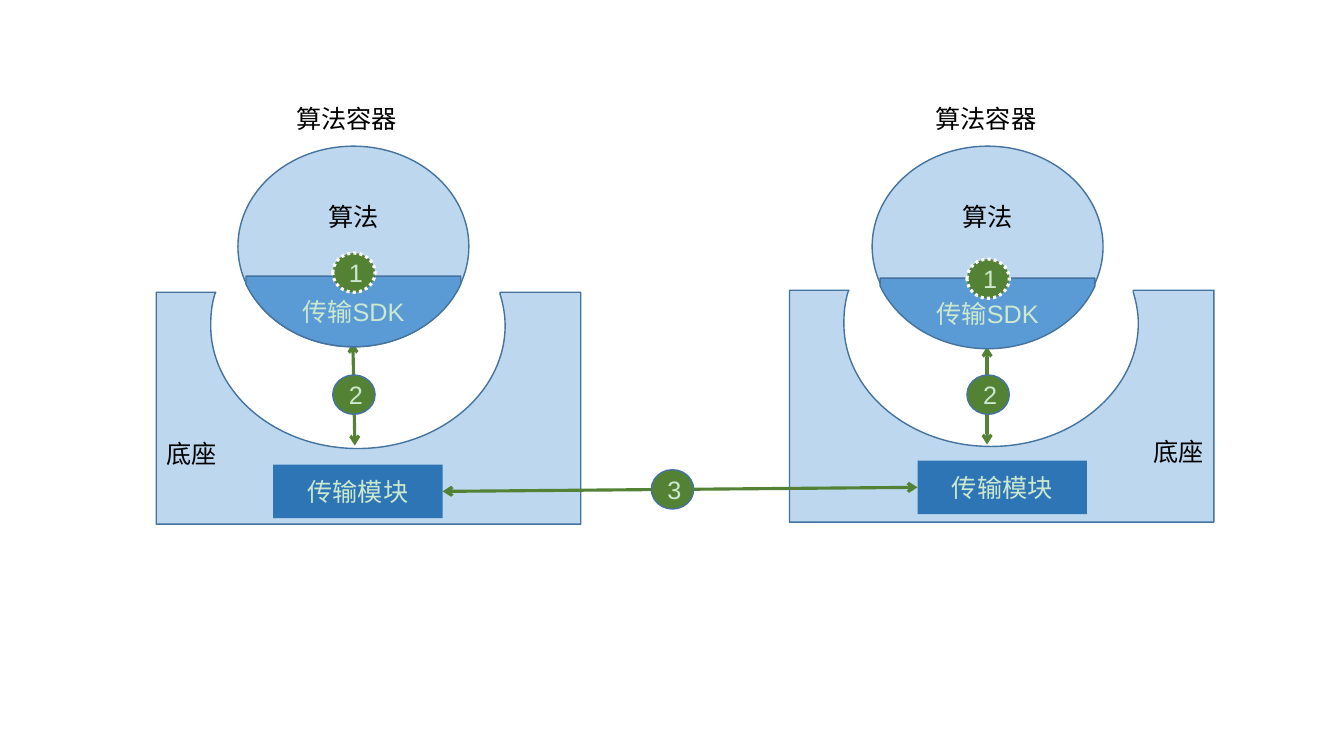
from dataclasses import dataclass

from lxml import etree
from pptx import Presentation
from pptx.dml.color import RGBColor
from pptx.enum.dml import MSO_LINE
from pptx.enum.shapes import MSO_CONNECTOR, MSO_SHAPE
from pptx.enum.text import MSO_ANCHOR, PP_ALIGN
from pptx.oxml.ns import qn
from pptx.util import Inches, Pt

OVAL, RECT = MSO_SHAPE.OVAL, MSO_SHAPE.RECTANGLE
STRAIGHT = MSO_CONNECTOR.STRAIGHT
DOTTED = MSO_LINE.ROUND_DOT
TOP, MIDDLE, BOTTOM = MSO_ANCHOR.TOP, MSO_ANCHOR.MIDDLE, MSO_ANCHOR.BOTTOM
LEFT, CENTER, RIGHT = PP_ALIGN.LEFT, PP_ALIGN.CENTER, PP_ALIGN.RIGHT

COLORS = {
    "page": "FFFFFF", "pale": "BDD7EE", "sdk": "5B9BD5", "module": "2E75B6",
    "outline": "43739E", "green": "548235", "light": "CCE8CF", "dark": "000000",
}
CONTAINER_WIDTH, CONTAINER_HEIGHT = 2.29, 1.99
MODULE_WIDTH, MODULE_HEIGHT = 1.68, 0.53
BADGE_WIDTH, BADGE_HEIGHT = 0.42, 0.39

# Outlines relative to their top left corner: one point for a straight
# segment, three for a Bezier curve
BASE_OUTLINE = [
    [(0.59, 0)], [(0.58, 0.02)],
    [(0.55, 0.12), (0.54, 0.22), (0.54, 0.33)],
    [(0.54, 1), (1.19, 1.55), (2, 1.55)],
    [(2.8, 1.55), (3.46, 1), (3.46, 0.33)],
    [(3.46, 0.22), (3.44, 0.12), (3.41, 0.02)],
    [(3.41, 0)], [(4.21, 0)], [(4.21, 2.3)], [(0, 2.3)], [(0, 0)],
]
SDK_OUTLINE = [
    [(2.13, 0)], [(2.13, 0.08)], [(2.12, 0.1)],
    [(1.95, 0.45), (1.54, 0.7), (1.07, 0.7)],
    [(0.59, 0.7), (0.19, 0.45), (0.01, 0.1)],
    [(0, 0.08)], [(0, 0)],
]


@dataclass
class Node:
    """One side of the diagram, measured in inches."""
    left: float
    top: float
    label_left: float
    base_left: float
    base_top: float
    base_align: int
    module_left: float
    module_top: float
    sdk_top: float
    first_badge_top: float
    arrow: tuple


NODES = [
    Node(2.36, 1.45, 2.84, 1.55, 2.9, LEFT, 2.71, 4.61, 2.74, 2.51,
         (3.5, 3.4, 3.52, 4.42)),
    Node(8.65, 1.45, 9.18, 7.83, 2.88, RIGHT, 9.1, 4.57, 2.76, 2.57,
         (9.79, 3.44, 9.79, 4.41)),
]


def color(name):
    return RGBColor.from_string(COLORS[name])


def paint(shape, fill, line="outline", width=1):
    shape.shadow.inherit = False
    shape.fill.solid()
    shape.fill.fore_color.rgb = color(fill)
    if line is None:
        shape.line.fill.background()
    else:
        shape.line.color.rgb = color(line)
        shape.line.width = Pt(width)


def write(shape, text, ink="light", align=CENTER, anchor=MIDDLE):
    frame = shape.text_frame
    frame.vertical_anchor = anchor
    frame.word_wrap = True
    para = frame.paragraphs[0]
    para.text = text
    para.alignment = align
    para.font.name = "Arial"
    para.font.size = Pt(18)
    para.font.color.rgb = color(ink)
    return frame


def add_block(page, kind, left, top, width, height):
    return page.shapes.add_shape(
        kind, Inches(left), Inches(top), Inches(width), Inches(height))


def add_outline(page, left, top, segments):
    """Freeform from straight and curved segments, starting at its corner."""
    builder = page.shapes.build_freeform(Inches(left), Inches(top), scale=1.0)
    builder.add_line_segments(
        [(Inches(left + x), Inches(top + y))
         for segment in segments for x, y in segment], close=True)
    shape = builder.convert_to_shape()

    # Join the three steps of each curve into one Bezier segment
    steps = iter(list(shape._element.iter(qn("a:lnTo"))))
    for segment in segments:
        first, *others = [next(steps) for _ in segment]
        if others:
            first.tag = qn("a:cubicBezTo")
            for step in others:
                first.append(step[0])
                step.getparent().remove(step)
    return shape


def add_arrow(page, x1, y1, x2, y2):
    arrow = page.shapes.add_connector(
        STRAIGHT, Inches(x1), Inches(y1), Inches(x2), Inches(y2))
    arrow.line.color.rgb = color("green")
    arrow.line.width = Pt(2.25)
    line = arrow.line._get_or_add_ln()
    for end in ("a:headEnd", "a:tailEnd"):
        etree.SubElement(line, qn(end), type="arrow")
    etree.SubElement(arrow._element.spPr, qn("a:effectLst"))


def add_badge(page, number, left, top, dotted=False):
    badge = add_block(page, OVAL, left, top, BADGE_WIDTH, BADGE_HEIGHT)
    if dotted:
        paint(badge, "green", "page", 2.25)
        badge.line.dash_style = DOTTED
    else:
        paint(badge, "green")
    write(badge, number)


def add_node(page, node):
    # Base and its transfer module
    base = add_outline(page, node.base_left, node.base_top, BASE_OUTLINE)
    paint(base, "pale")
    frame = write(base, "底座", "dark", node.base_align, BOTTOM)
    frame.margin_bottom = Inches(0.55)
    module = add_block(page, RECT, node.module_left, node.module_top,
                       MODULE_WIDTH, MODULE_HEIGHT)
    paint(module, "module", None)
    write(module, "传输模块")

    # Link between container and base
    add_arrow(page, *node.arrow)

    # Algorithm container with its caption and SDK segment
    container = add_block(page, OVAL, node.left, node.top,
                          CONTAINER_WIDTH, CONTAINER_HEIGHT)
    paint(container, "pale")
    write(container, "算法", "dark", anchor=TOP).margin_top = Inches(0.26)
    label = page.shapes.add_textbox(
        Inches(node.label_left), Inches(0.98), Inches(1.23), Inches(0.4))
    write(label, "算法容器", "dark", LEFT, TOP)
    sdk = add_outline(page, node.left + 0.08, node.sdk_top, SDK_OUTLINE)
    paint(sdk, "sdk")
    write(sdk, "传输SDK")

    # Numbered steps
    badge_left = node.left + 0.94
    add_badge(page, "1", badge_left, node.first_badge_top, dotted=True)
    add_badge(page, "2", badge_left, 3.72)


def add_module_link(page, first, second):
    middle = MODULE_HEIGHT / 2
    add_arrow(page, first.module_left + MODULE_WIDTH, first.module_top + middle,
              second.module_left, second.module_top + middle)
    add_badge(page, "3", 6.46, 4.66)


def main():
    deck = Presentation()
    deck.slide_width, deck.slide_height = Inches(13.33), Inches(7.5)
    page = deck.slides.add_slide(deck.slide_layouts[6])
    page.background.fill.solid()
    page.background.fill.fore_color.rgb = color("page")
    for node in NODES:
        add_node(page, node)
    add_module_link(page, *NODES)
    deck.save("out.pptx")


if __name__ == "__main__":
    main()
